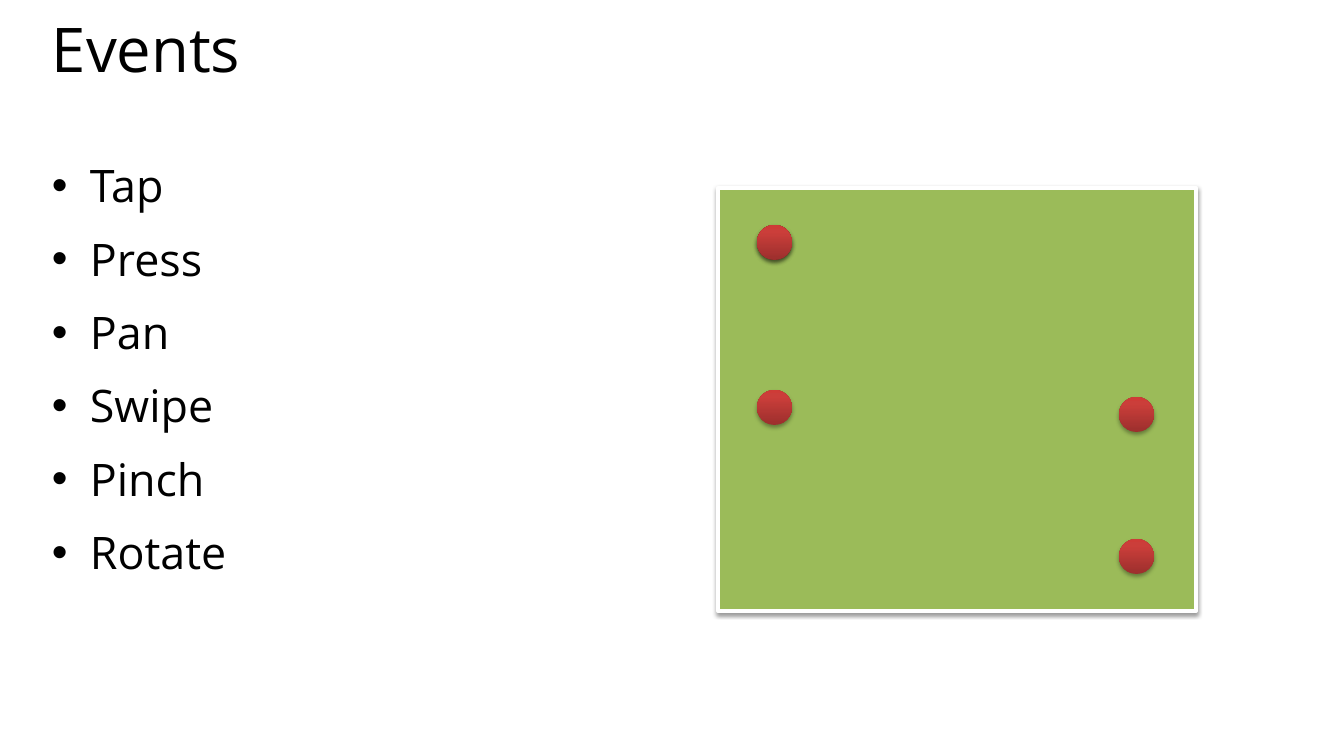
from lxml.etree import SubElement
from pptx import Presentation
from pptx.dml.color import RGBColor
from pptx.enum.shapes import MSO_SHAPE
from pptx.enum.text import MSO_ANCHOR
from pptx.oxml.ns import qn
from pptx.util import Emu, Pt

TITLE = "Events"
EVENTS = ["Tap", "Press", "Pan", "Swipe", "Pinch", "Rotate"]
TITLE_BOX = (42, 20, 1270, 117)
LIST_BOX = (42, 153, 646, 584)
PAD = (718, 188, 478, 423)
DOT = 35
DOTS = [(757, 225), (1119, 539), (757, 225), (757, 390), (1119, 397)]
INDENT = 38

FONT = "Open Sans"
BLACK = RGBColor(0, 0, 0)
WHITE = RGBColor(255, 255, 255)
GREEN = RGBColor(0x9B, 0xBB, 0x59)
REDS = [(0, RGBColor(0x9C, 0x2F, 0x2D)),
        (80, RGBColor(0xCB, 0x3E, 0x3A)),
        (100, RGBColor(0xCE, 0x3B, 0x37))]
HEAD = {"line_spacing": 0.8}
ITEM = {"line_spacing": 1.0, "space_before": Pt(14)}


def px(n):
    return Emu(round(n * 914400 / 100.8))


def node(root, tag, **vals):
    return SubElement(root, qn(tag), {k: str(v) for k, v in vals.items()})


def text(box, lines, size, form, bullet=False):
    frame = slide.shapes.add_textbox(*map(px, box)).text_frame
    frame.word_wrap = True
    frame.vertical_anchor = MSO_ANCHOR.TOP
    for i, line in enumerate(lines):
        para = frame.add_paragraph() if i else frame.paragraphs[0]
        for key, val in form.items():
            setattr(para, key, val)
        run = para.add_run()
        run.text = line
        for key, val in {"name": FONT, "size": Pt(size)}.items():
            setattr(run.font, key, val)
        run.font.color.rgb = BLACK
        if bullet:
            props = para._p.get_or_add_pPr()
            props.set("marL", str(px(INDENT)))
            props.set("indent", str(-px(INDENT)))
            node(props, "a:buFont", typeface="Arial")
            node(props, "a:buChar", char="•")


def shade(shape, dist, alpha):
    shape.shadow.inherit = False
    root = shape._element.spPr.find(qn("a:effectLst"))
    cast = node(root, "a:outerShdw", blurRad=Pt(3.1), dist=Pt(dist),
                dir=90 * 60000, rotWithShape=0)
    tint = node(cast, "a:srgbClr", val=BLACK)
    node(tint, "a:alpha", val=alpha * 1000)


def blend(shape):
    shape.fill.gradient()
    shape.fill.gradient_angle = 90
    stops = shape._element.spPr.find(qn("a:gradFill")).find(qn("a:gsLst"))
    for stop in list(stops):
        stops.remove(stop)
    for pos, tone in REDS:
        node(node(stops, "a:gs", pos=pos * 1000), "a:srgbClr", val=tone)


deck = Presentation()
deck.slide_width, deck.slide_height = px(1344), px(756)
slide = deck.slides.add_slide(deck.slide_layouts[6])

text(TITLE_BOX, [TITLE], 44, HEAD)
text(LIST_BOX, EVENTS, 32, ITEM, bullet=True)

pad = slide.shapes.add_shape(MSO_SHAPE.RECTANGLE, *map(px, PAD))
pad.fill.solid()
pad.fill.fore_color.rgb = GREEN
pad.line.color.rgb = WHITE
pad.line.width = Pt(3)
shade(pad, 1.6, 38)

for left, top in DOTS:
    dot = slide.shapes.add_shape(MSO_SHAPE.OVAL, *map(px, (left, top, DOT, DOT)))
    blend(dot)
    dot.line.fill.background()
    shade(dot, 1.8, 35)

deck.save("out.pptx")
